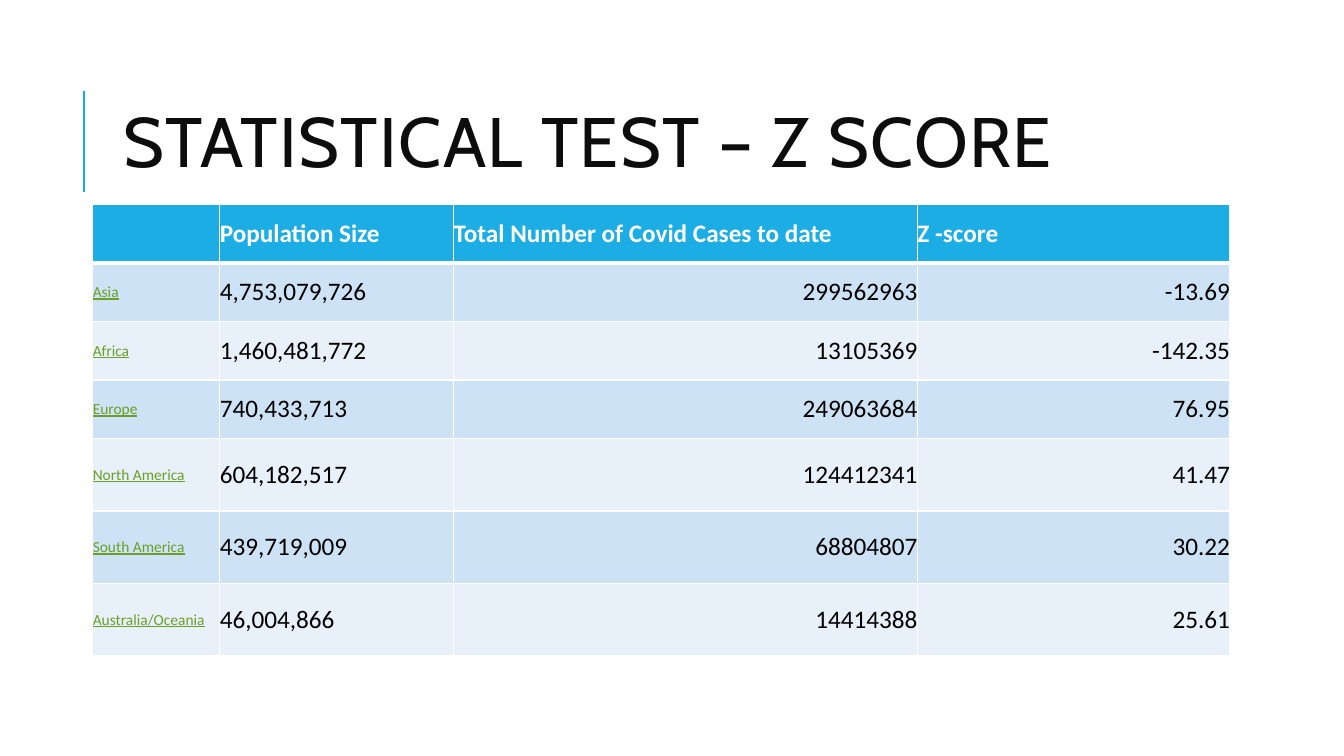
from lxml import etree
from pptx import Presentation
from pptx import util as u
from pptx.dml.color import RGBColor
from pptx.enum import text
from pptx.oxml import ns

PX = 9144  # 100 px to the inch

COLORS = {
    "accent": "1CADE4",
    "title": "0D0D0D",
    "body": "000000",
    "link": "6B9F25",
    "white": "FFFFFF",
    "band_dark": "CDE3F5",
    "band_light": "E8F1FA",
}
FORMATS = {
    "title": {"name": "Cabin", "size": u.Pt(50), "bold": False},
    "header": {"name": "Calibri", "size": u.Pt(18), "bold": True},
    "region": {"name": "Calibri", "size": u.Pt(11), "bold": False, "underline": True},
    "value": {"name": "Calibri", "size": u.Pt(18), "bold": False},
}
FONT_COLORS = {"title": "title", "header": "white", "region": "link", "value": "body"}

COLUMN_WIDTHS = [126, 232, 460, 310]
ROW_HEIGHTS = [58] * 4 + [72] * 3
SCORES = [
    ("", "Population Size", "Total Number of Covid Cases to date", "Z -score"),
    ("Asia", "4,753,079,726", "299562963", "-13.69"),
    ("Africa", "1,460,481,772", "13105369", "-142.35"),
    ("Europe", "740,433,713", "249063684", "76.95"),
    ("North America", "604,182,517", "124412341", "41.47"),
    ("South America", "439,719,009", "68804807", "30.22"),
    ("Australia/Oceania", "46,004,866", "14414388", "25.61"),
]


def px(*lengths):
    return [u.Emu(length * PX) for length in lengths]


def rgb(color):
    return RGBColor.from_string(COLORS[color])


def apply(target, values):
    for attribute, value in values.items():
        setattr(target, attribute, value)


def style_font(font, style):
    apply(font, FORMATS[style])
    font.color.rgb = rgb(FONT_COLORS[style])


def add_heading(slide, left, top, width, height):
    """Fill the title placeholder and draw the accent rule to its left."""
    rule_x, rule_top = left - 29, top + 26
    rule = slide.shapes.add_connector(1, *px(rule_x, rule_top + 100, rule_x, rule_top))
    rule.line.color.rgb = rgb("accent")
    rule.line.width = u.Pt(1.5)
    etree.SubElement(rule._element.spPr, ns.qn("a:effectLst"))

    title = slide.shapes.title
    apply(title, dict(zip(("left", "top", "width", "height"), px(left, top, width, height))))
    frame = title.text_frame
    apply(frame, {"auto_size": text.MSO_AUTO_SIZE.NONE, "word_wrap": True,
                  "vertical_anchor": text.MSO_ANCHOR.MIDDLE})
    heading = frame.paragraphs[0]
    apply(heading, {"alignment": text.PP_ALIGN.LEFT, "line_spacing": 0.8})
    run = heading.add_run()
    run.text = "STATISTICAL TEST – Z SCORE"
    style_font(run.font, "title")
    run.font._element.set("spc", "100")


def add_borders(cell, bottom_width):
    properties = cell._tc.get_or_add_tcPr()
    for side, width in {"L": 1, "R": 1, "T": 1, "B": bottom_width}.items():
        line = etree.SubElement(properties, ns.qn(f"a:ln{side}"), w=str(u.Pt(width)))
        fill = etree.SubElement(line, ns.qn("a:solidFill"))
        etree.SubElement(fill, ns.qn("a:srgbClr"), val=COLORS["white"])


def fill_cell(cell, wording, row, column):
    is_header = row == 0
    add_borders(cell, 3 if is_header else 1)
    cell.fill.solid()
    band = "band_dark" if row % 2 else "band_light"
    cell.fill.fore_color.rgb = rgb("accent" if is_header else band)
    apply(cell, {f"margin_{side}": 0 for side in ("left", "right", "top", "bottom")})
    cell.vertical_anchor = text.MSO_ANCHOR.MIDDLE
    if not wording:
        return
    paragraph = cell.text_frame.paragraphs[0]
    is_number = not is_header and column > 1
    paragraph.alignment = text.PP_ALIGN.RIGHT if is_number else text.PP_ALIGN.LEFT
    run = paragraph.add_run()
    run.text = wording
    style_font(run.font, "header" if is_header else "value" if column else "region")


def add_score_table(slide, left, top):
    box = px(left, top, sum(COLUMN_WIDTHS), sum(ROW_HEIGHTS))
    table = slide.shapes.add_table(len(SCORES), len(COLUMN_WIDTHS), *box).table
    for column, width in zip(table.columns, px(*COLUMN_WIDTHS)):
        column.width = width
    for row, height in zip(table.rows, px(*ROW_HEIGHTS)):
        row.height = height
    for r, record in enumerate(SCORES):
        for c, wording in enumerate(record):
            fill_cell(table.cell(r, c), wording, r, c)


def main():
    deck = Presentation()
    deck.slide_width, deck.slide_height = px(1333, 750)
    slide = deck.slides.add_slide(deck.slide_layouts.get_by_name("Title Only"))
    add_heading(slide, 112, 64, 1063, 164)
    add_score_table(slide, 92, 203)
    deck.save("out.pptx")


if __name__ == "__main__":
    main()
